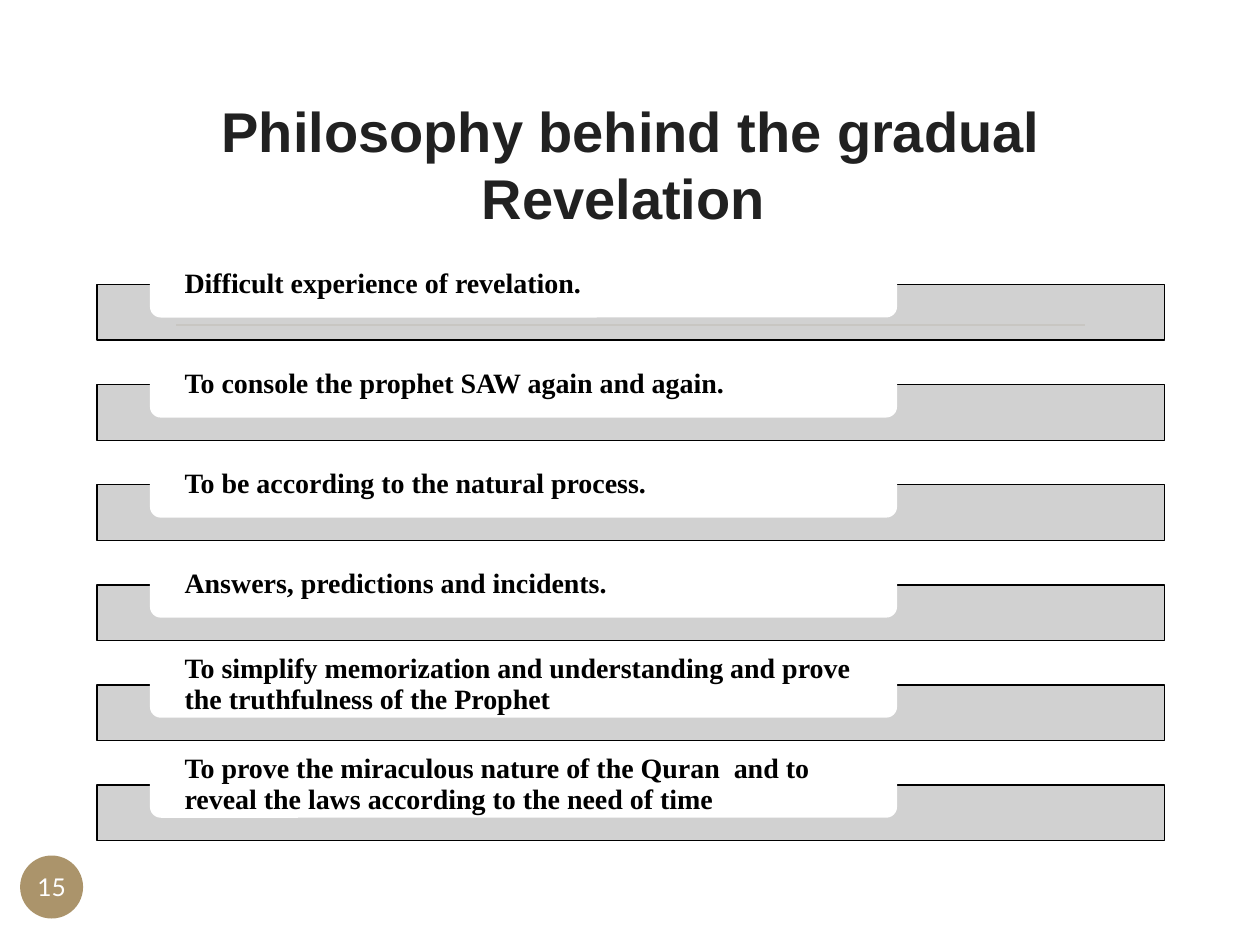
from dataclasses import dataclass
from lxml.etree import SubElement
from pptx import Presentation
from pptx.dml.color import RGBColor
from pptx.enum.shapes import MSO_CONNECTOR, MSO_SHAPE
from pptx.enum.text import MSO_ANCHOR, MSO_AUTO_SIZE, PP_ALIGN
from pptx.oxml.ns import qn
from pptx.util import Inches, Pt

HUES = {"gold": "AB946B", "grey": "CCCCCC", "ink": "212121",
        "black": "000000", "white": "FFFFFF"}
TOP, SPAN = 2.26, 3.97
LIFT = 0.26


@dataclass
class Box:
    left: float
    top: float
    width: float
    height: float

    def emus(self) -> list:
        return [Inches(n) for n in (self.left, self.top, self.width, self.height)]


@dataclass
class Style:
    font: str
    size: int
    hue: str
    bold: bool = True
    align: PP_ALIGN = PP_ALIGN.LEFT
    pitch: float = 1.0


TITLE = Style("Arial", 32, "ink", align=PP_ALIGN.CENTER)
REASON = Style("Times New Roman", 16, "black", pitch=0.9)
BADGE = Style("Lato", 14, "white", bold=False, align=PP_ALIGN.CENTER)

REASONS = [
    "Difficult experience of revelation.",
    "To console the prophet SAW again and again.",
    "To be according to the natural process.",
    "Answers, predictions and incidents. ",
    "To simplify memorization and understanding and prove the truthfulness of the Prophet ",
    "To prove the miraculous nature of the Quran  and to reveal the laws "
    "according to the need of time",
]


def tint(name: str) -> RGBColor:
    return RGBColor.from_string(HUES[name])


def write(shape, text: str, style: Style, insets: tuple, anchor=MSO_ANCHOR.MIDDLE) -> None:
    frame = shape.text_frame
    frame.word_wrap = True
    frame.auto_size = MSO_AUTO_SIZE.NONE
    frame.vertical_anchor = anchor
    (frame.margin_left, frame.margin_top,
     frame.margin_right, frame.margin_bottom) = map(Inches, insets)
    frame.text = text
    para = frame.paragraphs[0]
    para.alignment = style.align
    para.line_spacing = style.pitch
    para.font.name = style.font
    para.font.size = Pt(style.size)
    para.font.bold = style.bold
    para.font.color.rgb = tint(style.hue)


def draw(kind: MSO_SHAPE, box: Box, fill: str, edge: str = ""):
    shape = slide.shapes.add_shape(kind, *box.emus())
    shape.shadow.inherit = False
    shape.fill.solid()
    shape.fill.fore_color.rgb = tint(fill)
    if edge:
        shape.line.color.rgb = tint(edge)
        shape.line.width = Pt(0.75)
    else:
        shape.line.fill.background()
    return shape


def fade(shape, share: int) -> None:
    color = shape.fill._xPr.find(qn("a:solidFill"))[0]
    SubElement(color, qn("a:alpha")).set("val", str(share * 1000))


def rule(left: float, right: float, top: float) -> None:
    line = slide.shapes.add_connector(
        MSO_CONNECTOR.STRAIGHT, *map(Inches, (left, top, right, top)))
    line.line.color.rgb = tint("gold")
    line.line.width = Pt(1.25)
    SubElement(line._element.spPr, qn("a:effectLst"))


def row(top: float, text: str) -> None:
    bar = draw(MSO_SHAPE.RECTANGLE, Box(0.77, top, 8.47, 0.44), "grey", "black")
    fade(bar, 90)
    card = draw(MSO_SHAPE.ROUNDED_RECTANGLE, Box(1.19, top - LIFT, 5.93, 0.52), "white")
    write(card, text, REASON, (0.25, 0, 0.25, 0))


deck = Presentation()
deck.slide_width, deck.slide_height = Inches(10), Inches(7.5)
slide = deck.slides.add_slide(deck.slide_layouts[5])

rule(1.4, 8.61, 2.58)
title = slide.shapes.title
title.left, title.top, title.width, title.height = Box(1.29, 0.65, 7.44, 1.28).emus()
write(title, "Philosophy behind the gradual Revelation ", TITLE,
      (0.1, 0.05, 0.1, 0.1), MSO_ANCHOR.BOTTOM)

step = SPAN / (len(REASONS) - 1)
for i, text in enumerate(REASONS):
    row(TOP + i * step, text)

badge = draw(MSO_SHAPE.OVAL, Box(0.16, 6.79, 0.5, 0.5), "gold")
write(badge, "15", BADGE, (0, 0, 0, 0))

deck.save("out.pptx")
